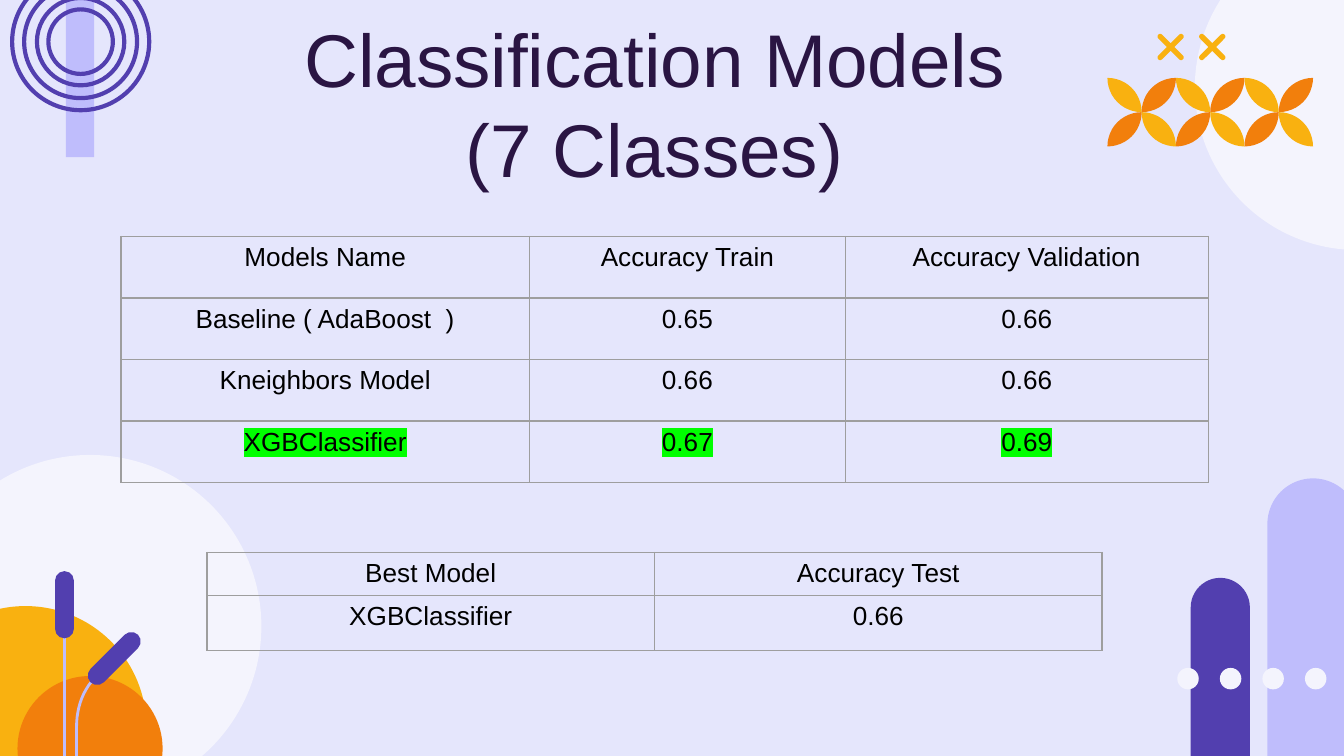
import math

import pptx
import pptx.dml.color
import pptx.enum.shapes
import pptx.enum.text
import pptx.oxml
import pptx.oxml.ns
import pptx.util

Inches = pptx.util.Inches
Pt = pptx.util.Pt
SHAPE = pptx.enum.shapes.MSO_SHAPE

INDIGO, LAVENDER, PALE = "523FAF", "BFBDFC", "F4F4FD"
YELLOW, ORANGE, STEM = "F9B110", "F27F0C", "BEBDFB"
GREY, GREEN, BLACK = "9E9E9E", "00FF00", "000000"

MODEL_ROWS = [
    ["Models Name", "Accuracy Train", "Accuracy Validation"],
    ["Baseline ( AdaBoost  )", "0.65", "0.66"],
    ["Kneighbors Model", "0.66", "0.66"],
    ["XGBClassifier", "0.67", "0.69"],
]
BEST_ROWS = [["Best Model", "Accuracy Test"], ["XGBClassifier", "0.66"]]


def rgb(value):
    """Turn a hex string into a colour."""
    return pptx.dml.color.RGBColor.from_string(value)


def set_values(target, values):
    """Set every attribute named in a dict of format values."""
    for name, value in values.items():
        setattr(target, name, value)


def paint(shape, fill=None, line=None, weight=0):
    """Give a shape its fill and outline, and no shadow."""
    shape.shadow.inherit = False
    if fill:
        shape.fill.solid()
        shape.fill.fore_color.rgb = rgb(fill)
    else:
        shape.fill.background()
    if line:
        shape.line.color.rgb = rgb(line)
        shape.line.width = Pt(weight)
    else:
        shape.line.fill.background()


def add_preset(slide, preset, box, fill=None, line=None, weight=0, rotation=0, adjust=()):
    """Add a painted preset shape; box is left, top, width, height."""
    shape = slide.shapes.add_shape(preset, *map(Inches, box))
    for index, value in enumerate(adjust):
        shape.adjustments[index] = value
    shape.rotation = rotation
    paint(shape, fill, line, weight)


def add_circle(slide, center_x, center_y, diameter, **look):
    """Add a circle around a centre."""
    box = (center_x - diameter / 2, center_y - diameter / 2, diameter, diameter)
    add_preset(slide, SHAPE.OVAL, box, **look)


def add_outline(slide, points, close=True, **look):
    """Add a freeform through points given in inches."""
    start, *rest = [(Inches(x), Inches(y)) for x, y in points]
    builder = slide.shapes.build_freeform(*start)
    builder.add_line_segments(rest, close=close)
    paint(builder.convert_to_shape(), **look)


def add_petal(slide, left, top, size, falling, fill):
    """Add a leaf of two quarter arcs along one diagonal of a square."""
    angles = [math.radians(step * 7.5) for step in range(13)]
    leaf = [(math.sin(a), 1 - math.cos(a)) for a in angles]
    leaf += [(1 - math.sin(a), math.cos(a)) for a in angles[1:-1]]
    points = [(left + size * (x if falling else 1 - x), top + size * y) for x, y in leaf]
    add_outline(slide, points, fill=fill)


def add_cross(slide, center_x, center_y):
    """Add a diagonal cross with rounded arm ends."""
    reach, radius = 0.11, 0.02
    points = []
    for arm in range(45, 405, 90):
        notch, axis = math.radians(arm - 45), math.radians(arm)
        inner = radius * math.sqrt(2)
        points.append((center_x + inner * math.cos(notch), center_y + inner * math.sin(notch)))
        for turn in range(-90, 91, 30):
            angle = axis + math.radians(turn)
            points.append((center_x + reach * math.cos(axis) + radius * math.cos(angle),
                           center_y + reach * math.sin(axis) + radius * math.sin(angle)))
    add_outline(slide, points, fill=YELLOW)


def add_straight_stem(slide, x, top, bottom):
    """Add a vertical stem without shadow."""
    stem = slide.shapes.add_connector(
        pptx.enum.shapes.MSO_CONNECTOR.STRAIGHT, *map(Inches, (x, top, x, bottom)))
    stem.line.color.rgb = rgb(STEM)
    stem.line.width = Pt(1.5)
    stem._element.spPr.append(pptx.oxml.parse_xml(
        f'<a:effectLst {pptx.oxml.ns.nsdecls("a")}/>'))


def add_bent_stem(slide, curve, bottom):
    """Add a stem that follows a cubic curve and then drops straight."""
    points = []
    for step in range(13):
        t = step / 12
        weights = ((1 - t) ** 3, 3 * t * (1 - t) ** 2, 3 * t * t * (1 - t), t ** 3)
        points.append(tuple(sum(w * p[axis] for w, p in zip(weights, curve)) for axis in (0, 1)))
    points.append((curve[-1][0], bottom))
    add_outline(slide, points, close=False, line=STEM, weight=1.5)


def add_corner_art(slide):
    """Add the decoration in the four corners."""
    add_preset(slide, SHAPE.RECTANGLE, (0.49, -0.08, 0.21, 1.25), LAVENDER)
    for diameter in (1.02, 0.84, 0.65, 0.48):
        add_circle(slide, 0.6, 0.31, diameter, line=INDIGO, weight=2.25)
    add_circle(slide, 0.67, 4.66, 2.55, fill=PALE)
    add_circle(slide, 10.1, 0.65, 2.42, fill=PALE)

    petal = 1.53 / 6
    for column in range(6):
        for row in range(2):
            falling = (column + row) % 2 == 0
            add_petal(slide, 8.24 + column * petal, 0.58 + row * petal, petal,
                      falling, YELLOW if falling else ORANGE)
    for center_x in (8.71, 9.02):
        add_cross(slide, center_x, 0.35)

    for box, fill in (((9.43, 3.56, 0.68, 2.14), LAVENDER), ((8.86, 4.3, 0.44, 1.4), INDIGO)):
        add_preset(slide, SHAPE.ROUND_2_SAME_RECTANGLE, box, fill, adjust=(0.5, 0))
    for dot in range(4):
        add_circle(slide, 8.84 + dot * 0.95 / 3, 5.05, 0.16, fill=PALE)

    add_circle(slide, 0.19, 5.41, 1.8, fill=YELLOW)
    add_circle(slide, 0.67, 5.57, 1.08, fill=ORANGE)
    add_straight_stem(slide, 0.48, 4.56, 5.92)
    add_bent_stem(slide, ((0.73, 5.02), (0.62, 5.12), (0.57, 5.26), (0.57, 5.41)), 5.94)
    for left, top, rotation in ((0.41, 4.25, 0), (0.78, 4.65, 45)):
        add_preset(slide, SHAPE.ROUNDED_RECTANGLE, (left, top, 0.14, 0.5), INDIGO,
                   rotation=rotation, adjust=(0.5,))


def add_title(slide, text):
    """Place and format the title placeholder."""
    title = slide.shapes.title
    set_values(title, dict(left=Inches(0.91), top=Inches(0), width=Inches(7.92), height=Inches(1.53)))
    frame = title.text_frame
    frame.text = text
    set_values(frame, dict.fromkeys(
        ("margin_left", "margin_right", "margin_top", "margin_bottom"), Inches(0.1)))
    set_values(frame, dict(word_wrap=True, auto_size=pptx.enum.text.MSO_AUTO_SIZE.NONE,
                           vertical_anchor=pptx.enum.text.MSO_ANCHOR.MIDDLE))
    set_values(frame.paragraphs[0], dict(alignment=pptx.enum.text.PP_ALIGN.CENTER, line_spacing=1.0))
    for run in frame.paragraphs[0].runs:
        set_values(run.font, dict(name="Arial", size=Pt(40)))
        run.font.color.rgb = rgb("2A1543")


def format_cell(cell, text, highlight):
    """Write centred text in a clear cell with thin borders."""
    cell.fill.background()
    properties = cell._tc.get_or_add_tcPr()
    namespace = pptx.oxml.ns.nsdecls("a")
    for index, side in enumerate(("lnL", "lnR", "lnT", "lnB")):
        properties.insert(index, pptx.oxml.parse_xml(
            f'<a:{side} {namespace} w="{Pt(0.75)}"><a:solidFill>'
            f'<a:srgbClr val="{GREY}"/></a:solidFill></a:{side}>'))
    paragraph = cell.text_frame.paragraphs[0]
    paragraph.alignment = pptx.enum.text.PP_ALIGN.CENTER
    run = paragraph.add_run()
    run.text = text
    set_values(run.font, dict(name="Arial", size=Pt(14)))
    run.font.color.rgb = rgb(BLACK)
    if highlight:
        run._r.rPr.find(pptx.oxml.ns.qn("a:solidFill")).addnext(pptx.oxml.parse_xml(
            f'<a:highlight {namespace}><a:srgbClr val="{GREEN}"/></a:highlight>'))


def add_score_table(slide, left, top, rows, widths, heights, best_row=None):
    """Add a bordered table and highlight the best row."""
    size = map(Inches, (left, top, sum(widths), sum(heights)))
    scores = slide.shapes.add_table(len(rows), len(widths), *size).table
    set_values(scores, dict(first_row=False, horz_banding=False))
    for column, width in zip(scores.columns, widths):
        column.width = Inches(width)
    for r, (texts, height) in enumerate(zip(rows, heights)):
        scores.rows[r].height = Inches(height)
        for c, text in enumerate(texts):
            format_cell(scores.cell(r, c), text, r == best_row)


def main():
    """Build the slide and save it."""
    deck = pptx.Presentation()
    set_values(deck, dict(slide_width=Inches(10), slide_height=Inches(5.625)))
    slide = deck.slides.add_slide(deck.slide_layouts[5])
    slide.background.fill.solid()
    slide.background.fill.fore_color.rgb = rgb("E5E6FC")
    add_corner_art(slide)
    add_title(slide, "Classification Models\v(7 Classes)")
    add_score_table(slide, 0.9, 1.76, MODEL_ROWS, (3.04, 2.35, 2.7), [1.83 / 4] * 4, best_row=3)
    add_score_table(slide, 1.54, 4.11, BEST_ROWS, (3.33, 3.33), (0.32, 0.41))
    deck.save("out.pptx")


if __name__ == "__main__":
    main()
